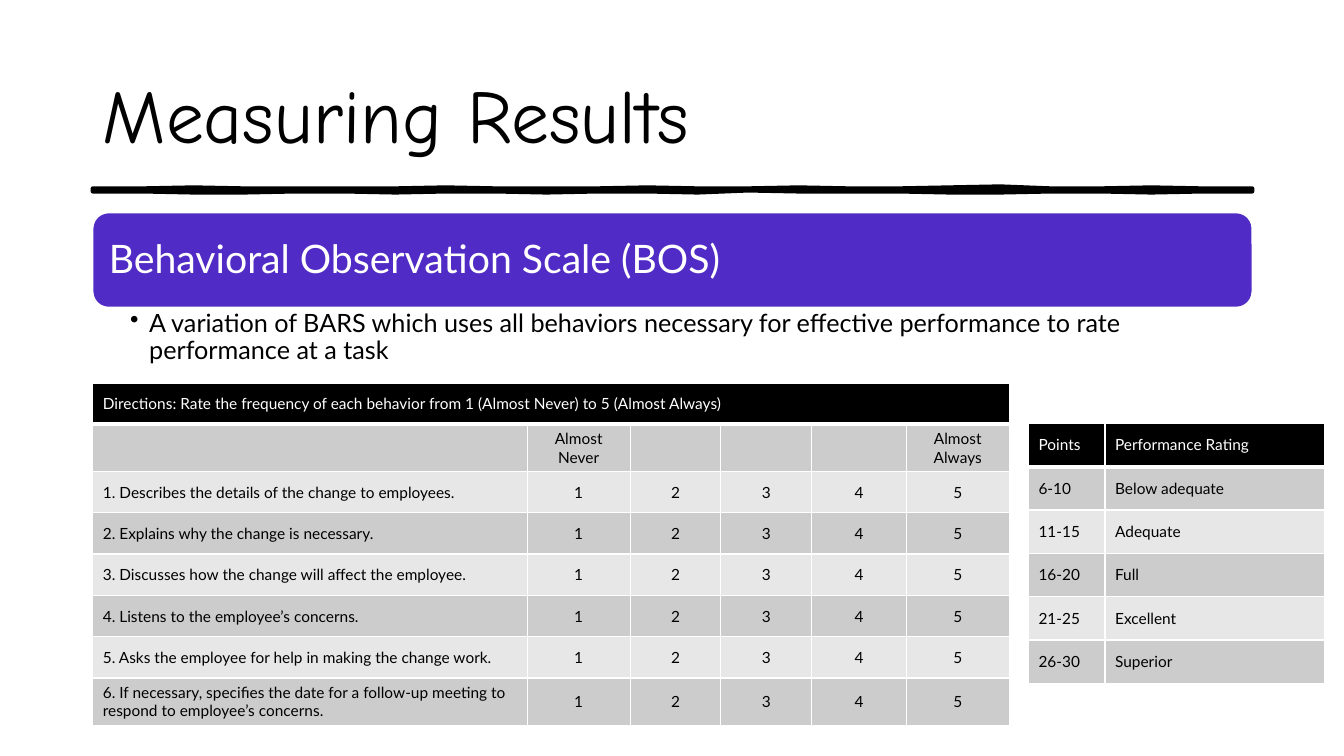
"""Build the Measuring Results slide with its rating scale tables."""
import pptx
import pptx.dml.color
import pptx.enum.shapes
import pptx.enum.text
import pptx.oxml
import pptx.oxml.ns
import pptx.util

Inches = pptx.util.Inches
Pt = pptx.util.Pt
MIDDLE = pptx.enum.text.MSO_ANCHOR.MIDDLE
TOP = pptx.enum.text.MSO_ANCHOR.TOP
CENTER = pptx.enum.text.PP_ALIGN.CENTER
LEFT = pptx.enum.text.PP_ALIGN.LEFT
COLORS = {"black": "000000", "white": "FFFFFF", "violet": "512BC5",
          "dark band": "CCCCCC", "light band": "E7E7E7"}
PLAIN_INSETS = (0.1, 0.05, 0.1, 0.05)


class SlideBuilder:
    def __init__(self, slide, heading_font, body_font):
        self.slide = slide
        self.heading_font = heading_font
        self.body_font = body_font

    def color(self, name):
        return pptx.dml.color.RGBColor.from_string(COLORS[name])

    def paint(self, shape, fill, line, width):
        shape.shadow.inherit = False
        shape.fill.solid()
        shape.fill.fore_color.rgb = self.color(fill)
        shape.line.color.rgb = self.color(line)
        shape.line.width = Pt(width)

    def add_span(self, para, words, size, color, font):
        span = para.add_run()
        span.text = words
        span.font.size = Pt(size)
        span.font.name = font
        span.font.bold = False
        span.font.color.rgb = self.color(color)

    def text(self, place, words, size, color, font=None, anchor=MIDDLE,
             insets=PLAIN_INSETS, spacing=None, hanging=None):
        box = self.slide.shapes.add_textbox(*map(Inches, place))
        frame = box.text_frame
        frame.word_wrap = True
        frame.vertical_anchor = anchor
        (frame.margin_left, frame.margin_top,
         frame.margin_right, frame.margin_bottom) = map(Inches, insets)
        para = frame.paragraphs[0]
        if hanging:
            self.bullet(para, hanging)
        if spacing:
            para.line_spacing = spacing
        self.add_span(para, words, size, color, font or self.body_font)

    def bullet(self, para, hanging):
        properties = para._p.get_or_add_pPr()
        properties.set("marL", str(Inches(hanging)))
        properties.set("indent", str(-Inches(hanging)))
        properties.append(pptx.oxml.parse_xml(
            f'<a:buChar {pptx.oxml.ns.nsdecls("a")} char="•"/>'))

    def banner(self, place):
        kind = pptx.enum.shapes.MSO_SHAPE.ROUNDED_RECTANGLE
        shape = self.slide.shapes.add_shape(kind, *map(Inches, place))
        self.paint(shape, "violet", "white", 1)

    def brush_stroke(self, left, right, top_edge, bottom_edge):
        def points(edge):
            step = (right - left) / (len(edge) - 1)
            return [(Inches(left + step * index), Inches(y)) for index, y in enumerate(edge)]

        outline = points(top_edge) + points(bottom_edge)[::-1]
        builder = self.slide.shapes.build_freeform(*outline[0])
        builder.add_line_segments(outline[1:], close=True)
        self.paint(builder.convert_to_shape(), "black", "black", 3)

    def borders(self, cell, bottom):
        properties = cell._tc.get_or_add_tcPr()
        for side, width in (("L", 1), ("R", 1), ("T", 1), ("B", bottom)):
            properties.append(pptx.oxml.parse_xml(
                f'<a:ln{side} {pptx.oxml.ns.nsdecls("a")} w="{Pt(width)}"><a:solidFill>'
                f'<a:srgbClr val="{COLORS["white"]}"/></a:solidFill></a:ln{side}>'))

    def table(self, left, top, widths, row_height, rows, centered=False):
        frame = self.slide.shapes.add_table(
            len(rows), len(widths), Inches(left), Inches(top),
            Inches(sum(widths)), Inches(row_height * len(rows)))
        table = frame.table
        table.first_row = table.horz_banding = False
        for column, width in zip(table.columns, widths):
            column.width = Inches(width)
        for row_index, row in enumerate(rows):
            table.rows[row_index].height = Inches(row_height)
            header = row_index == 0
            band = "black" if header else ("light band", "dark band")[row_index % 2]
            for column_index in range(len(widths)):
                cell = table.cell(row_index, column_index)
                self.borders(cell, 3 if header else 1)
                cell.fill.solid()
                cell.fill.fore_color.rgb = self.color(band)
                cell.vertical_anchor = MIDDLE
                words = row[column_index] if column_index < len(row) else ""
                if words:
                    para = cell.text_frame.paragraphs[0]
                    para.alignment = CENTER if centered and column_index else LEFT
                    self.add_span(para, words, 11, "white" if header else "black",
                                  self.body_font)
        if len(rows[0]) == 1:
            table.cell(0, 0).merge(table.cell(0, len(widths) - 1))


def main():
    deck = pptx.Presentation()
    deck.slide_width, deck.slide_height = Inches(13.33), Inches(7.5)
    page = SlideBuilder(deck.slides.add_slide(deck.slide_layouts[6]), "Comic Neue", "Lato")

    page.brush_stroke(
        0.92, 12.42,
        (1.87, 1.87, 1.86, 1.87, 1.87, 1.87, 1.87, 1.86, 1.87, 1.87, 1.87, 1.86,
         1.87, 1.87, 1.86, 1.87, 1.87, 1.86, 1.85, 1.87, 1.87, 1.86, 1.87, 1.87),
        (1.9, 1.9, 1.91, 1.91, 1.9, 1.9, 1.91, 1.9, 1.9, 1.91, 1.9, 1.9,
         1.91, 1.89, 1.9, 1.9, 1.9, 1.91, 1.91, 1.9, 1.9, 1.91, 1.9, 1.9))
    page.text((0.92, 0.4, 11.5, 1.45), "Measuring Results", 54, "black", page.heading_font)

    page.banner((0.92, 2.11, 11.5, 0.94))
    page.text((0.96, 2.16, 11.41, 0.85), "Behavioral Observation Scale (BOS)", 28, "white",
              insets=(0.12,) * 4, spacing=0.9)
    page.text((0.92, 3.05, 11.5, 0.83),
              "A variation of BARS which uses all behaviors necessary for effective "
              "performance to rate performance at a task", 18, "black",
              anchor=TOP, insets=(0.37, 0.03, 0.14, 0.03), spacing=0.9, hanging=0.19)

    behaviors = (
        "Describes the details of the change to employees.",
        "Explains why the change is necessary.",
        "Discusses how the change will affect the employee.",
        "Listens to the employee’s concerns.",
        "Asks the employee for help in making the change work.",
        "If necessary, specifies the date for a follow-up meeting to respond to "
        "employee’s concerns.")
    scale_rows = [
        ("Directions: Rate the frequency of each behavior from 1 (Almost Never) "
         "to 5 (Almost Always)",),
        ("", "Almost Never", "", "", "", "Almost Always")]
    scale_rows += [(f"{number}. {behavior}", *"12345")
                   for number, behavior in enumerate(behaviors, 1)]
    page.table(0.92, 3.8, (4.31, 1.02, 0.9, 0.9, 0.94, 1.02), 0.41, scale_rows, centered=True)

    page.table(10.2, 4.2, (0.76, 2.18), 0.43, (
        ("Points", "Performance Rating"), ("6-10", "Below adequate"), ("11-15", "Adequate"),
        ("16-20", "Full"), ("21-25", "Excellent"), ("26-30", "Superior")))

    deck.save("out.pptx")


if __name__ == "__main__":
    main()
